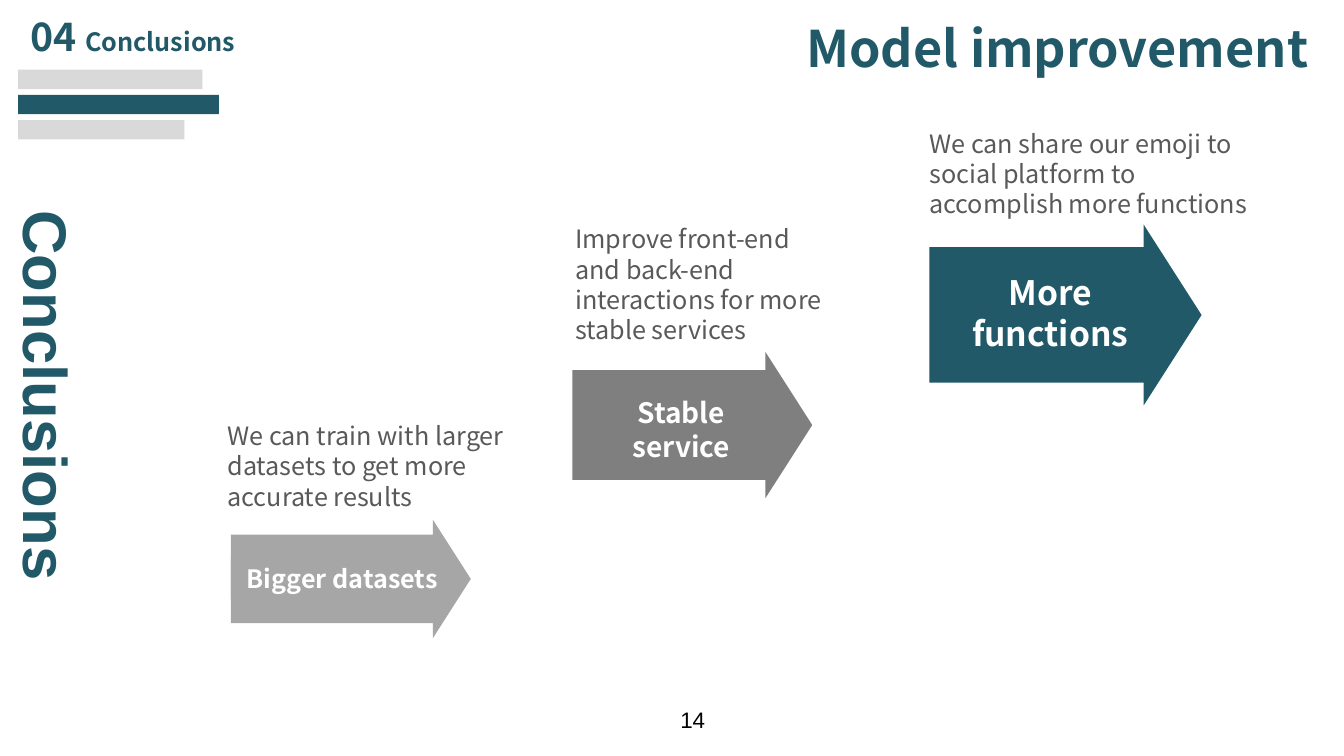
from pptx import Presentation
from pptx.dml.color import RGBColor
from pptx.enum.shapes import MSO_SHAPE as Shape
from pptx.enum.text import MSO_ANCHOR as Anchor, PP_ALIGN as Align
from pptx.util import Inches, Pt

COLORS = {"teal": "215968", "pale": "D9D9D9", "light": "A6A6A6", "mid": "7F7F7F",
          "body": "595959", "white": "FFFFFF", "black": "000000"}
SANS, ARIAL = "Noto Sans CJK SC", "Arial"

deck = Presentation()
deck.slide_width, deck.slide_height = Inches(13.33), Inches(7.5)
COL, ROW = deck.slide_width / 32, deck.slide_height / 18
slide = deck.slides.add_slide(deck.slide_layouts[5])


def grid(left, top, width, height):
    return [round(n * unit) for n, unit in zip((left, top, width, height), (COL, ROW) * 2)]


def write(holder, text, size, color, face=SANS, bold=False, align=Align.LEFT, anchor=Anchor.TOP):
    frame = holder.text_frame
    frame.word_wrap = True
    frame.vertical_anchor = anchor
    line = frame.paragraphs[0]
    line.text = text
    line.alignment = align
    line.font.name, line.font.size, line.font.bold = face, Pt(size), bold
    line.font.color.rgb = RGBColor.from_string(COLORS[color])
    return line


title = slide.shapes.title
title.left, title.top, title.width, title.height = grid(12.07, 0.26, 19.58, 1.7)
write(title, "Model improvement", 36, "teal", bold=True, align=Align.RIGHT, anchor=Anchor.BOTTOM)
title.text_frame.margin_right = round(COL / 2)

section = slide.shapes.add_textbox(*grid(0.48, 0.29, 9.53, 1.25))
heading = write(section, "04 ", 28, "teal", bold=True)
heading.line_spacing = 0.9
section_name = heading.add_run()
section_name.text = "Conclusions"
section_name.font.size = Pt(18)

for row, (width, color) in enumerate([(4.39, "pale"), (4.78, "teal"), (3.96, "pale")]):
    bar = slide.shapes.add_shape(Shape.RECTANGLE, *grid(0.43, 1.66 + 0.6 * row, width, 0.46))
    bar.shadow.inherit = False
    bar.fill.solid()
    bar.fill.fore_color.rgb = RGBColor.from_string(COLORS[color])
    bar.line.fill.background()

side_heading = slide.shapes.add_textbox(*grid(-3.77, 8.66, 9.79, 2.02))
side_heading.rotation = 90
write(side_heading, "Conclusions", 44, "teal", ARIAL, bold=True)

steps = [
    ("Bigger datasets", 18, "light", (5.5, 12.38, 5.71, 2.81), (5.5, 13.3, 5.3, 0.96),
     "We can train with larger datasets to get more accurate results", (5.18, 9.89, 7.66, 2.42)),
    ("Stable service", 20, "mid", (13.63, 8.38, 5.71, 3.48), (13.87, 9.31, 4.7, 1.85),
     "Improve front-end and back-end interactions for more stable services",
     (13.46, 5.21, 6.5, 3.14)),
    ("More functions", 24, "teal", (22.13, 5.35, 6.48, 4.3), (22.15, 6.36, 5.71, 2.18),
     "We can share our emoji to social platform to accomplish more functions",
     (21.89, 2.93, 8.45, 2.42)),
]
for name, size, color, arrow_area, label_area, detail, detail_area in steps:
    write(slide.shapes.add_textbox(*grid(*detail_area)), detail, 18, "body")
    step = slide.shapes.add_group_shape().shapes
    arrow = step.add_shape(Shape.RIGHT_ARROW, *grid(*arrow_area))
    arrow.adjustments[0], arrow.adjustments[1] = 0.75, 0.32
    label = step.add_shape(Shape.RECTANGLE, *grid(*label_area))
    for part in (arrow, label):
        part.shadow.inherit = False
        part.fill.solid()
        part.fill.fore_color.rgb = RGBColor.from_string(COLORS[color])
        part.line.fill.background()
    write(label, name, size, "white", bold=True, align=Align.CENTER)

page_number = slide.shapes.add_textbox(*grid(15.96, 16.7, 1.32, 0.89))
write(page_number, "14", 16, "black", ARIAL)

deck.save("out.pptx")
